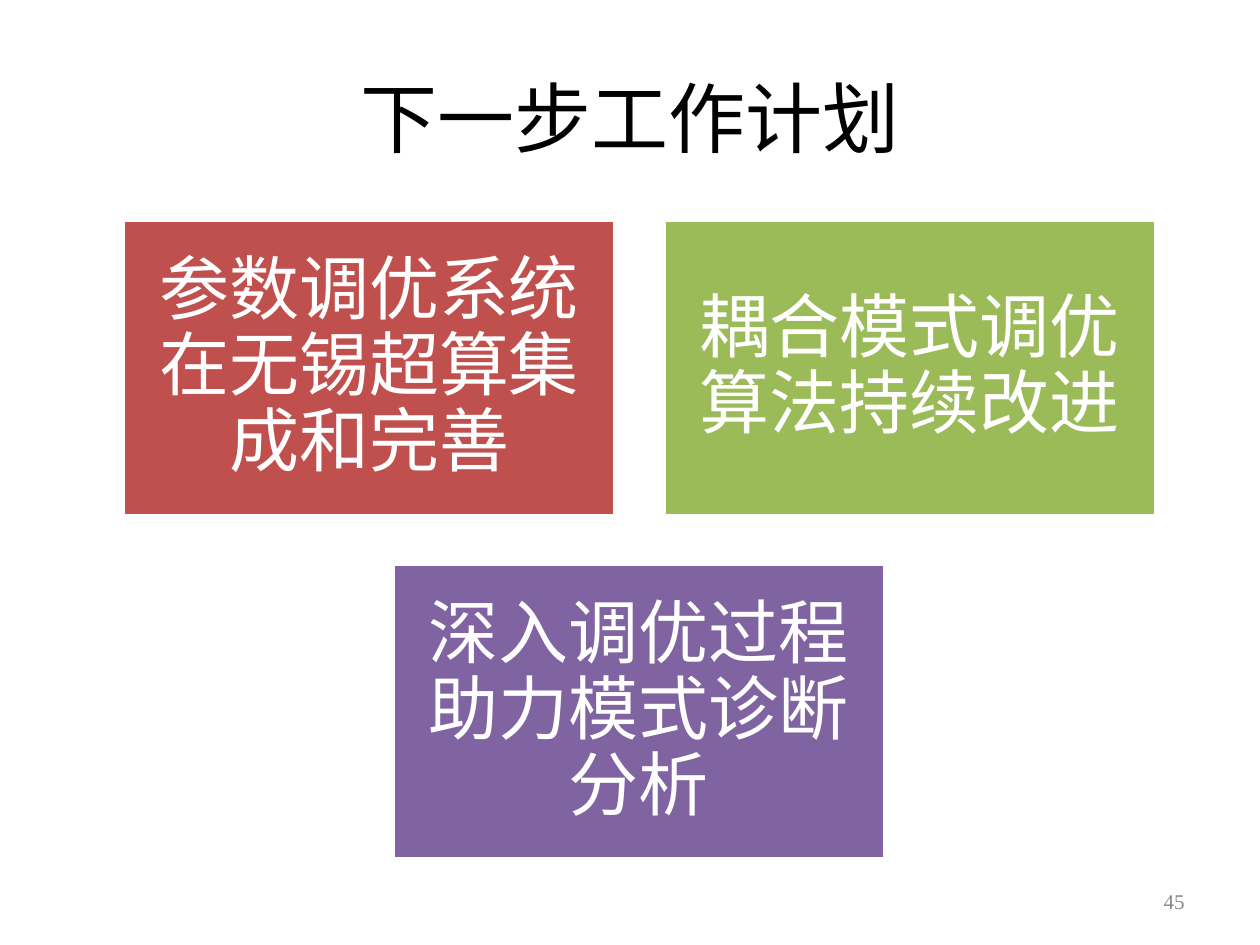
from pptx import Presentation
from pptx.dml.color import RGBColor
from pptx.enum.shapes import MSO_SHAPE
from pptx.enum.text import MSO_ANCHOR, PP_ALIGN
from pptx.util import Emu, Pt

PX = 9144
TITLE_ONLY = 5
FONT = "Times New Roman"
RECTANGLE = MSO_SHAPE.RECTANGLE
MIDDLE = MSO_ANCHOR.MIDDLE
CENTER, RIGHT = PP_ALIGN.CENTER, PP_ALIGN.RIGHT

PLANS = [
    ("参数调优系统在无锡超算集成和完善", "C0504D"),
    ("耦合模式调优\v算法持续改进", "9BBB59"),
    ("深入调优过程助力模式诊断分析", "8064A2"),
]


def px(*lengths):
    """Turn pixel lengths into EMU."""
    return [Emu(length * PX) for length in lengths]


def color(value):
    """Turn a hex string into a colour."""
    return RGBColor.from_string(value)


def write(frame, text, size, fill="000000", align=CENTER, inset=None,
          spacing=None, after=None):
    """Write one formatted paragraph into a text frame."""
    frame.word_wrap = True
    frame.vertical_anchor = MIDDLE
    if inset is not None:
        (margin,) = px(inset)
        frame.margin_left = frame.margin_right = margin
        frame.margin_top = frame.margin_bottom = margin
    paragraph = frame.paragraphs[0]
    paragraph.text = text
    paragraph.alignment = align
    paragraph.line_spacing = spacing
    paragraph.space_after = after
    for run in paragraph.runs:
        run.font.name = FONT
        run.font.size = Pt(size)
        run.font.color.rgb = color(fill)


def add_title(slide, box, text):
    """Place the slide title in its box."""
    title = slide.shapes.title
    title.left, title.top, title.width, title.height = px(*box)
    write(title.text_frame, text, 44)


def add_plan(slide, box, text, fill):
    """Add one coloured plan block."""
    block = slide.shapes.add_shape(RECTANGLE, *px(*box))
    block.shadow.inherit = False
    block.fill.solid()
    block.fill.fore_color.rgb = color(fill)
    block.line.color.rgb = color("FFFFFF")
    block.line.width = Pt(2)
    write(block.text_frame, text, 40, fill="FFFFFF", inset=17,
          spacing=0.9, after=Pt(14))


def add_plans(slide, box, plans, columns=2, gap=39):
    """Lay plan blocks out in rows, centring each row in the box."""
    left, top, width, height = box
    rows = [plans[i:i + columns] for i in range(0, len(plans), columns)]
    block_width = (width - gap * (columns - 1)) // columns
    block_height = (height - gap * (len(rows) - 1)) // len(rows)
    for r, row in enumerate(rows):
        row_width = len(row) * (block_width + gap) - gap
        start = left + (width - row_width) // 2
        for c, (text, fill) in enumerate(row):
            add_plan(slide, (start + c * (block_width + gap),
                             top + r * (block_height + gap),
                             block_width, block_height), text, fill)


def add_page_number(slide, box, number):
    """Add the page number in its box."""
    page = slide.shapes.add_textbox(*px(*box))
    write(page.text_frame, number, 12, fill="898989", align=RIGHT)


def main():
    """Build and save the slide."""
    deck = Presentation()
    deck.slide_width, deck.slide_height = px(1000, 750)
    slide = deck.slides.add_slide(deck.slide_layouts[TITLE_ONLY])
    add_title(slide, (50, 30, 900, 125), "下一步工作计划")
    add_page_number(slide, (717, 695, 233, 40), "45")
    add_plans(slide, (98, 175, 819, 507), PLANS)
    deck.save("out.pptx")


if __name__ == "__main__":
    main()
